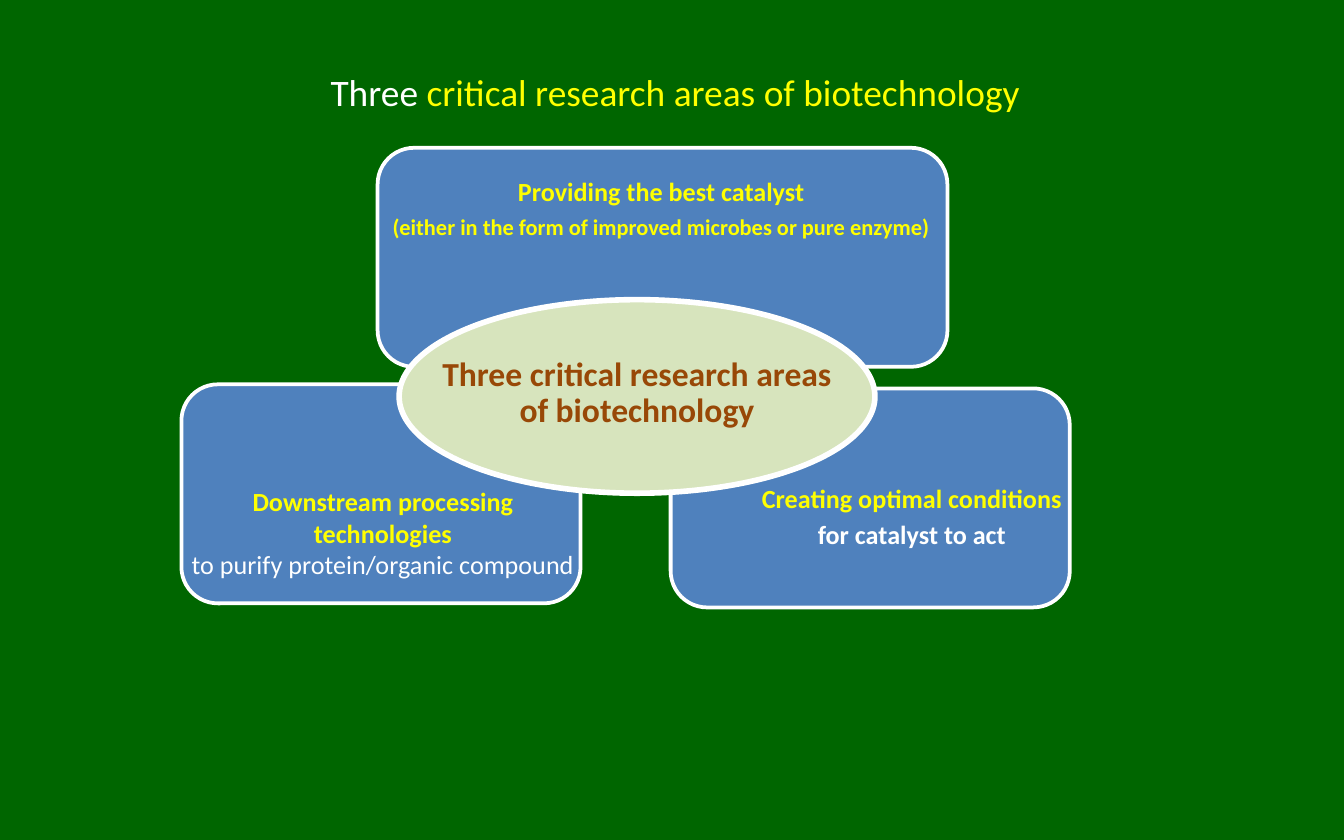
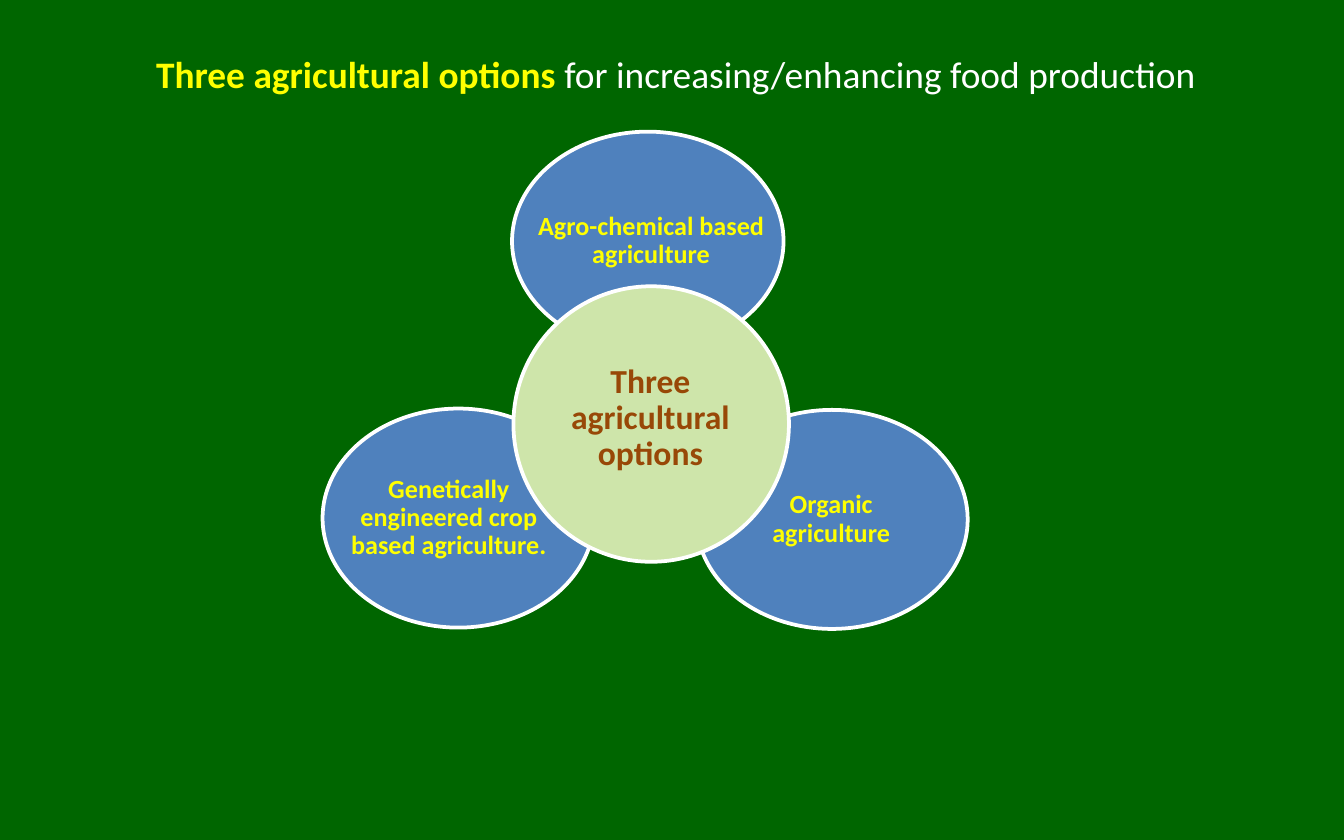
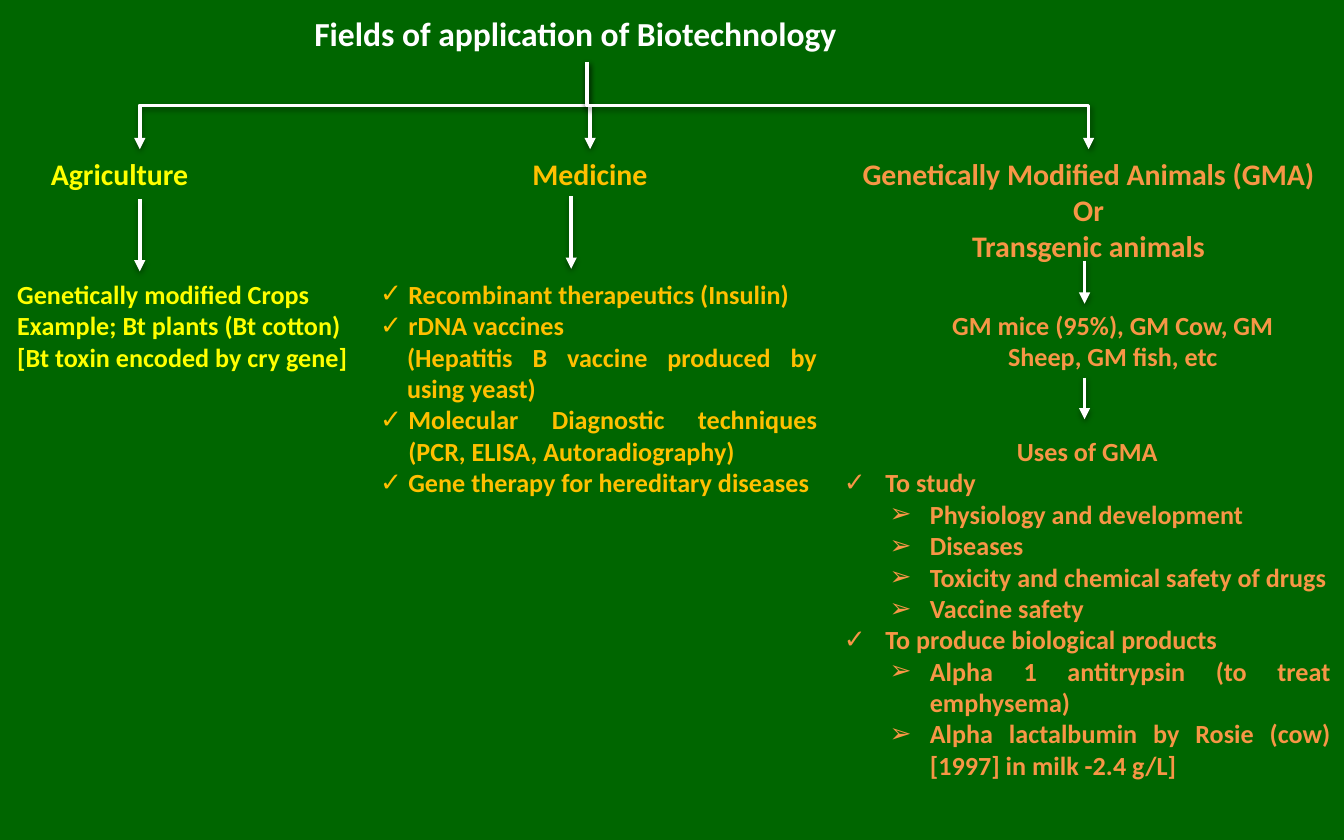
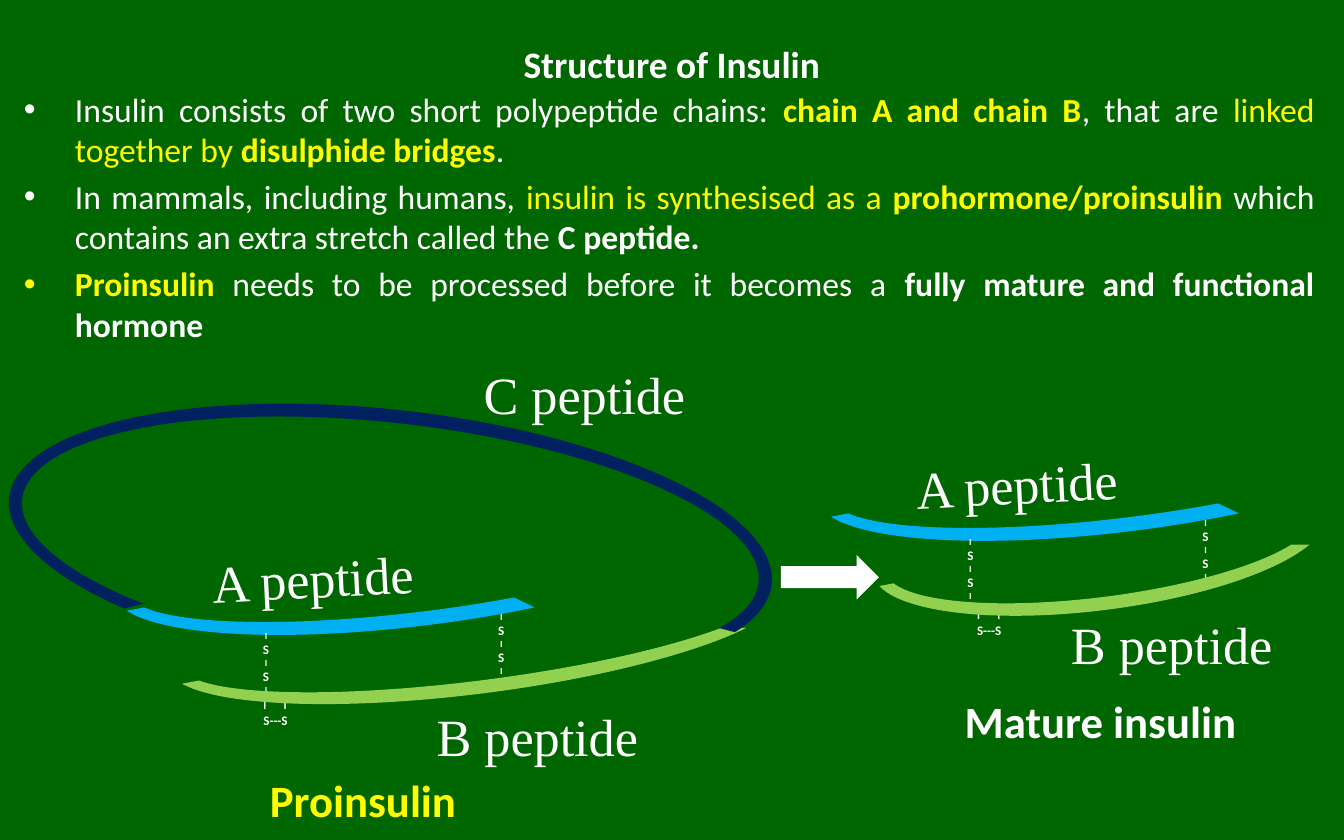
from dataclasses import dataclass

from lxml.etree import SubElement
from pptx import Presentation
from pptx.dml.color import RGBColor
from pptx.enum.shapes import MSO_CONNECTOR as Link, MSO_SHAPE as Form
from pptx.enum.text import MSO_ANCHOR as Anchor, PP_ALIGN as Align
from pptx.oxml.ns import qn
from pptx.util import Inches, Pt


# Theme: colours, fonts and type sizes
@dataclass(frozen=True)
class Theme:
    ground: str = "006600"
    white: str = "FFFFFF"
    yellow: str = "FFFF00"
    gold: str = "FFC000"
    orange: str = "F79646"
    brown: str = "984807"
    blue: str = "4F81BD"
    sage: str = "D7E4BD"
    lime: str = "CEE5AA"
    a_chain: str = "00B0F0"
    b_chain: str = "92D050"
    c_chain: str = "002060"
    face: str = "Calibri"
    serif: str = "Times New Roman"
    peptide: int = 28
    caption: int = 24
    title: int = 20
    body: int = 18
    heading: int = 16
    label: int = 14
    note: int = 12


THEME = Theme()


@dataclass
class Para:
    """One paragraph; spans is plain text or a list of (text, colour, bold)."""
    spans: object
    size: float = None
    color: str = None
    bold: bool = None
    align: object = None
    bullet: str = None
    left: float = 0
    hang: float = 0


class Deck:
    def __init__(self, theme):
        self.theme = theme
        self.deck = Presentation()
        self.deck.slide_width, self.deck.slide_height = Inches(10), Inches(6.25)
        self.page = None

    def new_page(self):
        self.page = self.deck.slides.add_slide(self.deck.slide_layouts[6])
        fill = self.page.background.fill
        fill.solid()
        fill.fore_color.rgb = RGBColor.from_string(self.theme.ground)

    def shape(self, form, at, fill=None, line=None, turn=0, adjust=()):
        shape = self.page.shapes.add_shape(form, *map(Inches, at))
        shape.shadow.inherit = False
        shape.rotation = turn
        for index, value in enumerate(adjust):
            shape.adjustments[index] = value
        if fill:
            shape.fill.solid()
            shape.fill.fore_color.rgb = RGBColor.from_string(fill)
        else:
            shape.fill.background()
        if line:
            shape.line.color.rgb = RGBColor.from_string(self.theme.white)
            shape.line.width = Pt(line)
        else:
            shape.line.fill.background()
        return shape

    def arc(self, at, start, end, thickness, fill, turn):
        # Degrees become 60000ths, which adjustments count in 100000ths
        self.shape(Form.BLOCK_ARC, at, fill, turn=turn,
                   adjust=(start * 0.6, end * 0.6, thickness))

    def text(self, at, paras, size, color, bold=True, align=Align.LEFT, form=None,
             face=None, anchor=Anchor.TOP, inset=None, turn=0, wrap=True,
             spacing=None, before=0, after=0):
        if form:
            box = self.shape(form, at)
        else:
            box = self.page.shapes.add_textbox(*map(Inches, at))
            box.rotation = turn
        frame = box.text_frame
        frame.word_wrap = wrap
        frame.vertical_anchor = anchor
        if inset is not None:
            frame.margin_left = frame.margin_right = Inches(inset)
            frame.margin_top = frame.margin_bottom = Inches(inset)
        for index, item in enumerate(paras):
            item = item if isinstance(item, Para) else Para(item)
            para = frame.add_paragraph() if index else frame.paragraphs[0]
            ink = item.color or color
            spans = item.spans
            if isinstance(spans, str):
                spans = [(spans, ink, bold if item.bold is None else item.bold)]
            para.alignment = item.align or align
            para.line_spacing = spacing
            para.space_before = Pt(before if index else 0)
            para.space_after = Pt(after)
            self.indent(para, item, spans[0][1])
            para.font.name = face or self.theme.face
            para.font.size = Pt(item.size or size)
            same = len({span[1:] for span in spans}) == 1
            for words, tint, weight in spans:
                run = para.add_run()
                run.text = words
                font = para.font if same else run.font
                font.color.rgb = RGBColor.from_string(tint)
                font.bold = weight
        return box

    def indent(self, para, item, color):
        if not (item.left or item.bullet):
            return
        props = para._p.get_or_add_pPr()
        props.set("marL", str(Inches(item.left)))
        props.set("indent", str(Inches(-item.hang)))
        if item.bullet:
            tint = SubElement(props, qn("a:buClr"))
            SubElement(tint, qn("a:srgbClr"), val=color)
            SubElement(props, qn("a:buFont"), typeface="Arial")
            SubElement(props, qn("a:buChar"), char=item.bullet)

    def title(self, at, spans):
        self.text(at, [Para(spans)], self.theme.title, self.theme.white,
                  align=Align.CENTER, anchor=Anchor.MIDDLE)

    def label(self, at, paras, form=None, spacing=0.9, after=4.5):
        self.text(at, paras, self.theme.label, self.theme.yellow, form=form,
                  align=Align.CENTER, anchor=Anchor.MIDDLE, inset=0.02,
                  spacing=spacing, after=after)

    def hub(self, at, fill, line, text_at, words):
        self.shape(Form.OVAL, at, fill, line)
        self.text(text_at, [words], self.theme.body, self.theme.brown,
                  align=Align.CENTER, spacing=0.9, after=6)

    def finish_arrow(self, link):
        link.line.color.rgb = RGBColor.from_string(self.theme.white)
        link.line.width = Pt(2)
        props = link._element.spPr
        SubElement(props.find(qn("a:ln")), qn("a:tailEnd"), type="triangle")
        effects = SubElement(props, qn("a:effectLst"))
        shadow = SubElement(effects, qn("a:outerShdw"), blurRad="40000", dist="20000",
                            dir="5400000", rotWithShape="0")
        black = SubElement(shadow, qn("a:srgbClr"), val="000000")
        SubElement(black, qn("a:alpha"), val="38000")

    def arrow(self, x, top, bottom, source=None):
        link = self.page.shapes.add_connector(
            Link.STRAIGHT, *map(Inches, (x, top, x, bottom)))
        if source:
            link.begin_connect(source, 2)
        self.finish_arrow(link)

    def branch(self, x1, y1, x2, y2):
        # A quarter turn makes the elbow leave downwards
        width, height = y2 - y1, abs(x2 - x1)
        left, top = (x1 + x2 - width) / 2, (y1 + y2 - height) / 2
        ends, turn = (left, left + width), 90
        if x2 > x1:
            ends, turn = ends[::-1], 270
        link = self.page.shapes.add_connector(
            Link.ELBOW, *map(Inches, (ends[0], top, ends[1], top + height)))
        link._element.spPr.find(qn("a:xfrm")).set("rot", str(turn * 60000))
        self.finish_arrow(link)

    def peptide(self, x, y, width, words, turn=0):
        self.text((x, y, width, 0.57), [words], self.theme.peptide, self.theme.white,
                  bold=False, face=self.theme.serif, turn=turn, wrap=False)

    def caption(self, at, words, color):
        self.text(at, [words], self.theme.caption, color, wrap=False)

    def bridge(self, x, y):
        self.text((x, y, 0.4, 0.59), [Para(mark, size=5 if mark == "I" else 7)
                                      for mark in "ISISI"],
                  7, self.theme.white, align=Align.CENTER)

    def loop_bridge(self, x, y):
        box = self.text((x, y, 0.69, 0.32), [Para("I\tI", size=6), "S---S"],
                        7, self.theme.white)
        box.text_frame.margin_left = Inches(0.32)
        box.text_frame.margin_right = 0
        props = box.text_frame.paragraphs[0]._p.pPr
        tabs = props.makeelement(qn("a:tabLst"))
        SubElement(tabs, qn("a:tab"), pos=str(Inches(0.15)), algn="l")
        props.find(qn("a:defRPr")).addprevious(tabs)

    def chains(self, x, y, b_chain, b_label, loop):
        """The A and B chains with their disulphide bridges."""
        self.arc((x, y, 4.65, 1.05), 212.9, 356.57, 0.1, self.theme.a_chain, 172.7)
        self.peptide(x + 0.65, y + 0.41, 1.72, "A peptide", turn=-3)
        self.peptide(*b_label, 1.71, "B peptide")
        self.bridge(x + 2.7, y + 0.9)
        self.bridge(x + 0.95, y + 1.04)
        self.loop_bridge(*loop)
        self.arc(b_chain, 187.36, 356.57, 0.1, self.theme.b_chain, 172.7)


def research_areas(deck):
    t = deck.theme
    deck.new_page()
    deck.title((0.2, 0.21, 9.65, 0.94), [
        ("Three ", t.white, False),
        ("critical research areas of biotechnology", t.yellow, False)])

    # Three areas around the hub
    for x, y, width in ((2.81, 1.1, 4.24), (4.99, 2.89, 2.97), (1.35, 2.86, 2.97)):
        deck.shape(Form.ROUNDED_RECTANGLE, (x, y, width, 1.63), t.blue, 2)
    deck.label((2.76, 0.84, 4.32, 1.44), [
        "Providing the best catalyst",
        Para("(either in the form of improved microbes or pure enzyme)", size=t.note)],
        Form.ROUNDED_RECTANGLE)
    deck.label((5.58, 3.28, 2.41, 1.15), [
        "Creating optimal conditions",
        Para("for catalyst to act", color=t.white)], Form.ROUNDED_RECTANGLE)
    deck.label((1.3, 3.39, 3.1, 1.15), [
        "Downstream processing technologies",
        Para("to purify protein/organic compound", color=t.white, bold=False)],
        Form.ROUNDED_RECTANGLE, spacing=1.0, after=0)
    deck.hub((2.97, 2.23, 3.54, 1.44), t.sage, 3, (3.18, 2.61, 3.12, 0.84),
             "Three critical research areas of biotechnology")


def agricultural_options(deck):
    t = deck.theme
    deck.new_page()
    deck.title((0.03, 0.08, 10, 0.94), [
        ("Three agricultural options", t.yellow, True),
        (" for increasing/enhancing food production", t.white, False)])

    # Option ovals, each with its label 0.24 below the top
    options = [
        (3.81, 0.98, 3.9, 1.89, "Agro-chemical based agriculture"),
        (5.18, 3.05, 5.47, 1.43, "Organic agriculture"),
        (2.4, 3.04, 2.44, 1.8, "Genetically engineered crop based agriculture."),
    ]
    for x, y, label_x, label_width, words in options:
        deck.shape(Form.OVAL, (x, y, 2.02, 1.63), t.blue, 2)
        deck.label((label_x, y + 0.24, label_width, 1.15), [words])
    deck.hub((3.82, 2.13, 2.05, 2.05), t.lime, 2, (3.94, 2.66, 1.8, 0.92),
             "Three agricultural options")


def application_fields(deck):
    t = deck.theme
    deck.new_page()

    def check(words):
        return Para(words, bullet="✓", left=0.31, hang=0.21)

    def use(words):
        return Para(words, bullet="✓", left=0.31, hang=0.31, align=Align.JUSTIFY)

    def detail(words):
        return Para(words, bullet="➢", left=0.64, hang=0.3, align=Align.JUSTIFY)

    # Headings
    deck.text((2.24, 0.05, 4.25, 0.4), ["Fields of application of Biotechnology"],
              t.body, t.white)
    agriculture = deck.text((0.28, 1.11, 1.52, 0.37), ["Agriculture"], t.heading, t.yellow)
    deck.text((3.71, 1.11, 1.36, 0.37), ["Medicine"], t.heading, t.gold,
              align=Align.CENTER)
    deck.text((6.23, 1.11, 3.74, 0.91),
              ["Genetically Modified Animals (GMA)", "Or", "Transgenic animals"],
              t.heading, t.orange, align=Align.CENTER)

    # Details under each heading
    deck.text((0.03, 2.02, 2.77, 0.81), [
        "Genetically modified Crops",
        "Example; Bt plants (Bt cotton) [Bt toxin encoded by cry gene]"],
        t.label, t.yellow)
    deck.text((2.63, 2.02, 3.55, 1.75), [
        check("Recombinant therapeutics (Insulin)"),
        check("rDNA vaccines"),
        Para("(Hepatitis B vaccine produced by using yeast)", left=0.3),
        check("Molecular Diagnostic techniques (PCR, ELISA, Autoradiography)"),
        check("Gene therapy for hereditary diseases")],
        t.label, t.gold, align=Align.JUSTIFY)
    deck.text((6.76, 2.25, 3.04, 0.57), ["GM mice (95%), GM Cow, GM Sheep, GM fish, etc"],
              t.label, t.orange, align=Align.CENTER)
    deck.text((6.18, 3.19, 3.82, 2.69), [
        "Uses of GMA",
        use("To study"),
        detail("Physiology and development"),
        detail("Diseases"),
        detail("Toxicity and chemical safety of drugs"),
        detail("Vaccine safety"),
        use("To produce biological products"),
        detail("Alpha 1 antitrypsin (to treat emphysema)"),
        detail("Alpha lactalbumin by Rosie (cow) [1997] in milk -2.4 g/L]")],
        t.label, t.orange, align=Align.CENTER)

    # Tree and arrows
    for x in (1.04, 4.39, 8.1):
        deck.branch(4.37, 0.46, x, 1.11)
    deck.arrow(1.04, 1.48, 2.02, source=agriculture)
    for x, top, bottom in ((4.25, 1.46, 2), (8.07, 1.94, 2.26), (8.07, 2.81, 3.12)):
        deck.arrow(x, top, bottom)


def insulin_structure(deck):
    t = deck.theme
    deck.new_page()
    deck.title((0.5, 0.13, 9, 0.68), "Structure of Insulin")

    # Explanation
    points = [
        [("Insulin consists of two short polypeptide chains: ", t.white, False),
         ("chain A and chain B", t.yellow, True),
         (", that are ", t.white, False),
         ("linked together by ", t.yellow, False),
         ("disulphide bridges", t.yellow, True),
         (".", t.white, False)],
        [("In mammals, including humans, ", t.white, False),
         ("insulin is synthesised as a ", t.yellow, False),
         ("prohormone/proinsulin ", t.yellow, True),
         ("which contains an extra stretch called the ", t.white, False),
         ("C peptide.", t.white, True)],
        [("Proinsulin", t.yellow, True),
         (" needs to be processed before it becomes a ", t.white, False),
         ("fully mature and functional hormone", t.white, True)],
    ]
    deck.text((0.08, 0.61, 9.8, 4.75),
              [Para(spans, bullet="•", left=0.38, hang=0.38) for spans in points],
              t.body, t.white, align=Align.JUSTIFY, before=3.6)

    # Proinsulin, closed by the C peptide
    deck.chains(0.83, 3.6, (1.23, 4.18, 4.65, 0.98), (3.15, 5.19), (1.64, 5.15))
    deck.arc((0.05, 3.05, 5.71, 1.95), 159.25, 8.34, 0.05, t.c_chain, 6.5)
    deck.peptide(3.5, 2.65, 1.71, "C peptide")
    deck.caption((1.91, 5.7, 1.6, 0.5), "Proinsulin", t.yellow)

    # Mature insulin
    deck.shape(Form.RIGHT_ARROW, (5.81, 4.13, 0.73, 0.33), t.white)
    deck.chains(6.07, 2.9, (6.48, 3.56, 3.4, 0.98), (7.87, 4.51), (6.95, 4.48))
    deck.caption((7.08, 5.11, 2.24, 0.5), "Mature insulin", t.white)


def main():
    deck = Deck(THEME)
    for build in (research_areas, agricultural_options, application_fields,
                  insulin_structure):
        build(deck)
    deck.deck.save("out.pptx")


if __name__ == "__main__":
    main()
